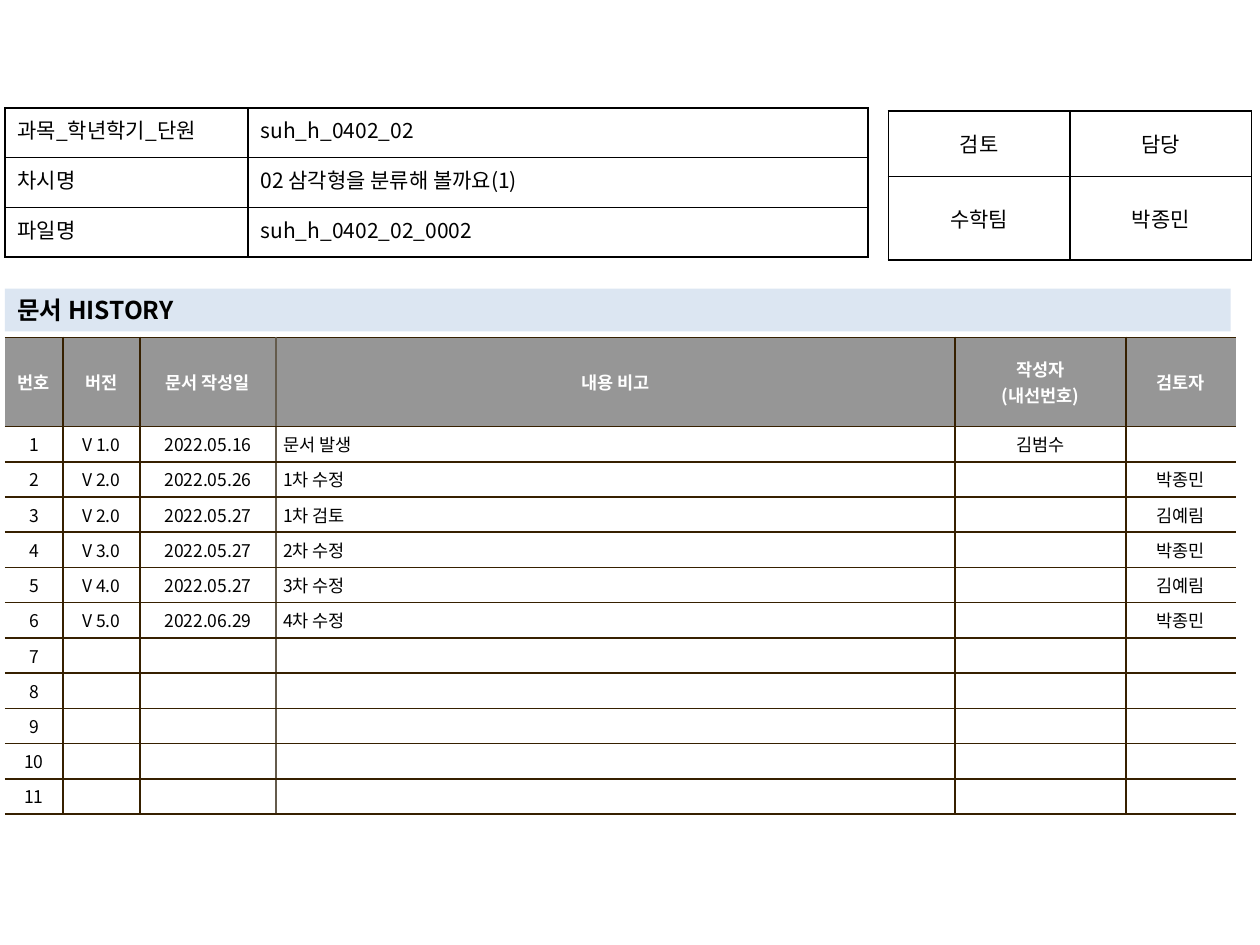
from lxml.etree import SubElement
from pptx import Presentation
from pptx.dml.color import RGBColor
from pptx.enum.shapes import MSO_SHAPE as Shape
from pptx.enum.text import MSO_ANCHOR as Anchor, PP_ALIGN as Align
from pptx.oxml.ns import qn
from pptx.util import Cm, Pt

FONT = "Noto Sans CJK KR"
BLACK = RGBColor(0x00, 0x00, 0x00)
WHITE = RGBColor(0xFF, 0xFF, 0xFF)
GRAY = RGBColor(0x96, 0x96, 0x96)
BLUE = RGBColor(0xDC, 0xE6, 0xF2)
BROWN = RGBColor(0x36, 0x20, 0x00)
TAUPE = RGBColor(0x64, 0x5B, 0x4C)

INFO = [
    ("과목_학년학기_단원", "suh_h_0402_02"),
    ("차시명", "02 삼각형을 분류해 볼까요(1)"),
    ("파일명", "suh_h_0402_02_0002"),
]
REVIEW = [("검토", "담당"), ("수학팀", "박종민")]
HEAD = ("번호", "버전", "문서 작성일", "내용 비고", "작성자\n(내선번호)", "검토자")
LOG = [
    ("V 1.0", "2022.05.16", "문서 발생", "김범수", ""),
    ("V 2.0", "2022.05.26", "1차 수정", "", "박종민"),
    ("V 2.0", "2022.05.27", "1차 검토", "", "김예림"),
    ("V 3.0", "2022.05.27", "2차 수정", "", "박종민"),
    ("V 4.0", "2022.05.27", "3차 수정", "", "김예림"),
    ("V 5.0", "2022.06.29", "4차 수정", "", "박종민"),
]
COUNT = 11


def style(frame, size, color=BLACK, bold=False, align=Align.LEFT):
    """Set the font and alignment of every paragraph in a frame."""
    for para in frame.paragraphs:
        para.alignment = align
        font = para.font
        font.name, font.size, font.bold = FONT, Pt(size), bold
        font.color.rgb = color
        props = para._p.pPr.find(qn("a:defRPr"))
        SubElement(props, qn("a:ea"), typeface=FONT)


def edge(cell, sides):
    """Draw one-point lines on the given sides of a cell."""
    props = cell._tc.get_or_add_tcPr()
    for spot, side in enumerate(s for s in "LRTB" if s in sides):
        line = props.makeelement(qn(f"a:ln{side}"), {"w": str(Pt(1))})
        props.insert(spot, line)
        if sides[side] is None:
            SubElement(line, qn("a:noFill"))
        else:
            fill = SubElement(line, qn("a:solidFill"))
            SubElement(fill, qn("a:srgbClr"), val=str(sides[side]))


def grid(slide, box, cols, rows, data):
    """Add a plain table, sharing the box by column and row weights."""
    left, top, width, height = box
    table = slide.shapes.add_table(
        len(rows), len(cols), Cm(left), Cm(top), Cm(width), Cm(height)
    ).table
    table.first_row = table.horz_banding = False
    for col, part in zip(table.columns, cols):
        col.width = Cm(width * part / sum(cols))
    for row, part in zip(table.rows, rows):
        row.height = Cm(height * part / sum(rows))
    for row, texts in zip(table.rows, data):
        for cell, text in zip(row.cells, texts):
            cell.text = text
    return table


def add_info(slide, box):
    """Add the table of subject, lesson and file names."""
    table = grid(slide, box, (4.9, 12.5), (1, 1, 1), INFO)
    for cell in table.iter_cells():
        cell.fill.background()
        style(cell.text_frame, 12)
        edge(cell, dict.fromkeys("LRTB", BLACK))


def add_review(slide, box):
    """Add the table of reviewer and person in charge."""
    table = grid(slide, box, (1, 1), (1.32, 1.68), REVIEW)
    for cell in table.iter_cells():
        cell.fill.background()
        cell.vertical_anchor = Anchor.MIDDLE
        style(cell.text_frame, 12, align=Align.CENTER)
        edge(cell, dict.fromkeys("LRTB", BLACK))


def add_title(slide, box):
    """Add the tinted heading bar."""
    bar = slide.shapes.add_shape(Shape.RECTANGLE, *map(Cm, box))
    bar.shadow.inherit = False
    bar.fill.solid()
    bar.fill.fore_color.rgb = BLUE
    bar.line.fill.background()
    bar.text_frame.text = "문서 HISTORY"
    style(bar.text_frame, 14, bold=True)


def add_log(slide, box):
    """Add the numbered revision table with open left and right sides."""
    cols = (1.17, 1.55, 2.74, 13.69, 3.45, 2.21)
    blank = [("",) * 5] * (COUNT - len(LOG))
    data = [HEAD] + [(str(n), *row) for n, row in enumerate(LOG + blank, 1)]
    table = grid(slide, box, cols, [1.8] + [0.71] * COUNT, data)
    rules = [None, BROWN, BROWN, TAUPE, BROWN, BROWN, None]
    for r, row in enumerate(table.rows):
        for c, cell in enumerate(row.cells):
            cell.fill.solid()
            cell.fill.fore_color.rgb = WHITE if r else GRAY
            cell.vertical_anchor = Anchor.MIDDLE
            cell.margin_left = cell.margin_right = Cm(0.15)
            cell.margin_top = cell.margin_bottom = Cm(0.1)
            align = Align.LEFT if r and c == 3 else Align.CENTER
            style(cell.text_frame, 10, BLACK if r else WHITE, not r, align)
            edge(cell, {"L": rules[c], "R": rules[c + 1], "T": BROWN, "B": BROWN})


def main():
    """Build the document history slide."""
    deck = Presentation()
    deck.slide_width, deck.slide_height = Cm(25.4), Cm(19.05)
    slide = deck.slides.add_slide(deck.slide_layouts[6])
    add_log(slide, (0.1, 6.8, 24.81, 9.61))
    add_review(slide, (17.91, 2.24, 7.32, 3))
    add_title(slide, (0.1, 5.82, 24.71, 0.86))
    add_info(slide, (0.1, 2.18, 17.4, 3))
    deck.save("out.pptx")


if __name__ == "__main__":
    main()
